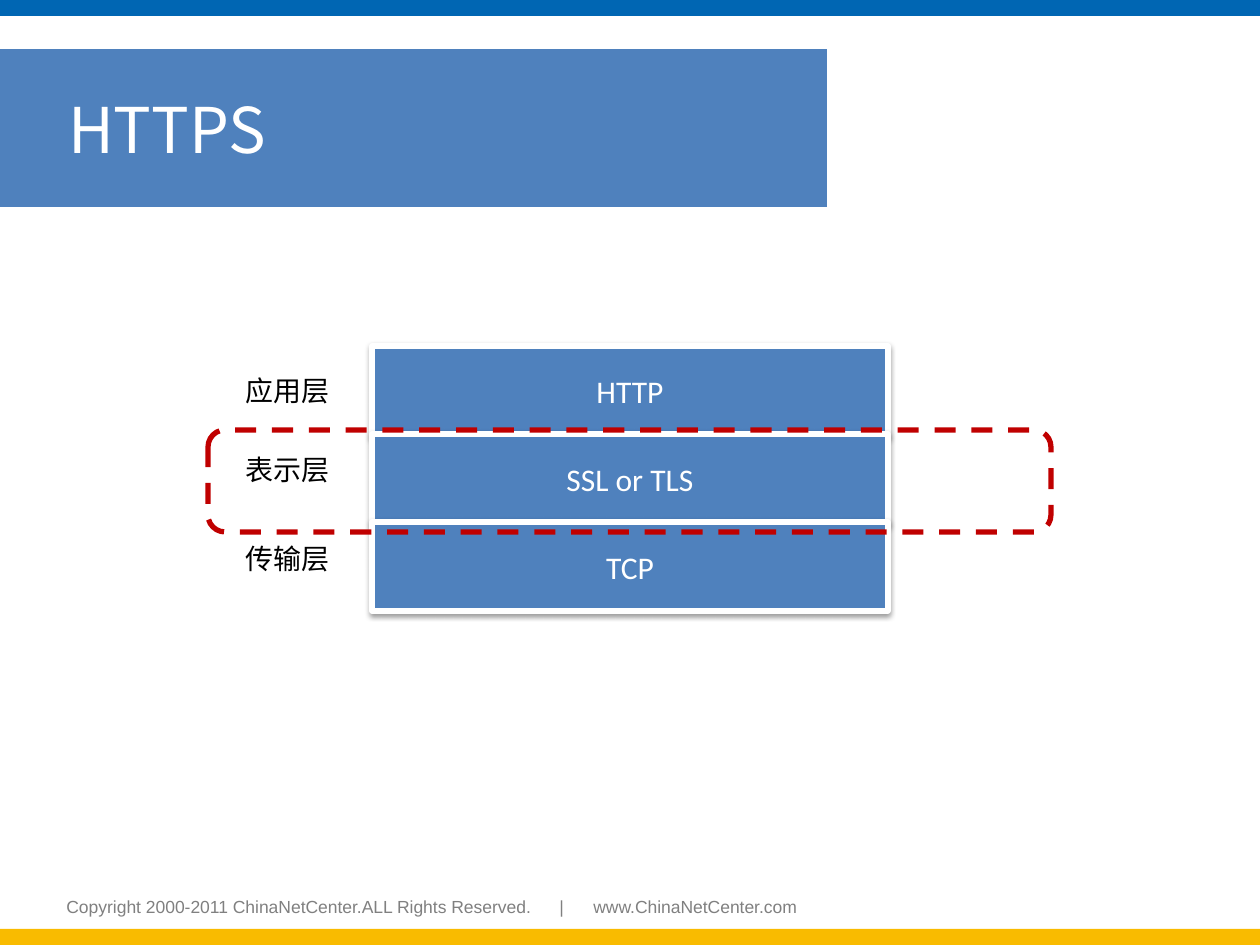
from lxml.etree import SubElement as Sub
from pptx import Presentation
from pptx.dml.color import RGBColor as RGB
from pptx.enum.dml import MSO_LINE_DASH_STYLE as Dash
from pptx.enum.shapes import MSO_SHAPE as Shape
from pptx.enum.text import MSO_ANCHOR as Anchor, PP_ALIGN as Align
from pptx.oxml.ns import qn
from pptx.util import Pt

PX = 914400 // 126
W, H = 1260, 945
COLORS = {
    "top": "0066B3", "bottom": "F9BB00", "box": "4F81BD", "white": "FFFFFF",
    "black": "000000", "gray": "808080", "mark": "C00000",
}
CJK = "Noto Sans CJK SC"
TITLE = "HTTPS"
FOOTER = ("Copyright 2000-2011 ChinaNetCenter.ALL Rights Reserved.", "|", "www.ChinaNetCenter.com")
FOOTER_TABS = (493, 527)
LAYERS = [("应用层", 367, "HTTP"), ("表示层", 446, "SSL or TLS"), ("传输层", 535, "TCP")]
LAYER_TOP, LAYER_STEP = 346, 88
BAR = 16


def color(name):
    return RGB.from_string(COLORS[name])


def emu(*px):
    return [v * PX for v in px]


def add_box(s, box, fill=None, kind=Shape.RECTANGLE, line=None):
    sp = s.shapes.add_shape(kind, *emu(*box))
    sp.shadow.inherit = False
    if fill:
        sp.fill.solid()
        sp.fill.fore_color.rgb = color(fill)
    else:
        sp.fill.background()
    if line:
        sp.line.color.rgb = color(line)
        sp.line.width = Pt(3)
    else:
        sp.line.fill.background()
    return sp


def write(sp, text, size, font, ink, align=Align.LEFT, anchor=Anchor.TOP):
    tf = sp.text_frame
    tf.word_wrap = True
    tf.vertical_anchor = anchor
    p = tf.paragraphs[0]
    p.text = text
    p.alignment = align
    for r in p.runs:
        r.font.size = Pt(size)
        r.font.name = font
        r.font.color.rgb = color(ink)
        if font == CJK:
            Sub(r.font._element, qn("a:ea"), typeface=font)
    return p


def add_shadow(sp):
    effects = sp._element.spPr.find(qn("a:effectLst"))
    shadow = Sub(effects, qn("a:outerShdw"), blurRad=str(Pt(3.1)), dist=str(Pt(1.6)),
                 dir="5400000", rotWithShape="0")
    ink = Sub(shadow, qn("a:srgbClr"), val=COLORS["black"])
    Sub(ink, qn("a:alpha"), val="38000")


def add_footer(s):
    sp = s.shapes.add_textbox(*emu(54, 890, 767, 55))
    p = write(sp, "\t".join(FOOTER), 10, "Arial", "gray")
    tabs = Sub(p._p.get_or_add_pPr(), qn("a:tabLst"))
    for pos in FOOTER_TABS:
        Sub(tabs, qn("a:tab"), pos=str(pos * PX), algn="l")


def main():
    prs = Presentation()
    prs.slide_width, prs.slide_height = emu(W, H)
    s = prs.slides.add_slide(prs.slide_layouts[6])

    add_box(s, (0, H - BAR, W, BAR), "bottom")
    add_box(s, (0, 0, W, BAR), "top")
    add_footer(s)

    title = add_box(s, (0, 49, 827, 158), "box")
    title.text_frame.margin_left = 68 * PX
    write(title, TITLE, 36, CJK, "white", anchor=Anchor.MIDDLE)

    for i, (_, _, protocol) in enumerate(LAYERS):
        sp = add_box(s, (372, LAYER_TOP + i * LAYER_STEP, 516, 89), "box", line="white")
        add_shadow(sp)
        write(sp, protocol, 18, "Calibri", "white", Align.CENTER, Anchor.MIDDLE)

    for label, top, _ in LAYERS:
        sp = s.shapes.add_textbox(*emu(233, top, 129, 47))
        write(sp, label, 16, CJK, "black")

    mark = add_box(s, (208, 430, 843, 102), kind=Shape.ROUNDED_RECTANGLE, line="mark")
    mark.line.dash_style = Dash.DASH

    prs.save("out.pptx")


if __name__ == "__main__":
    main()
